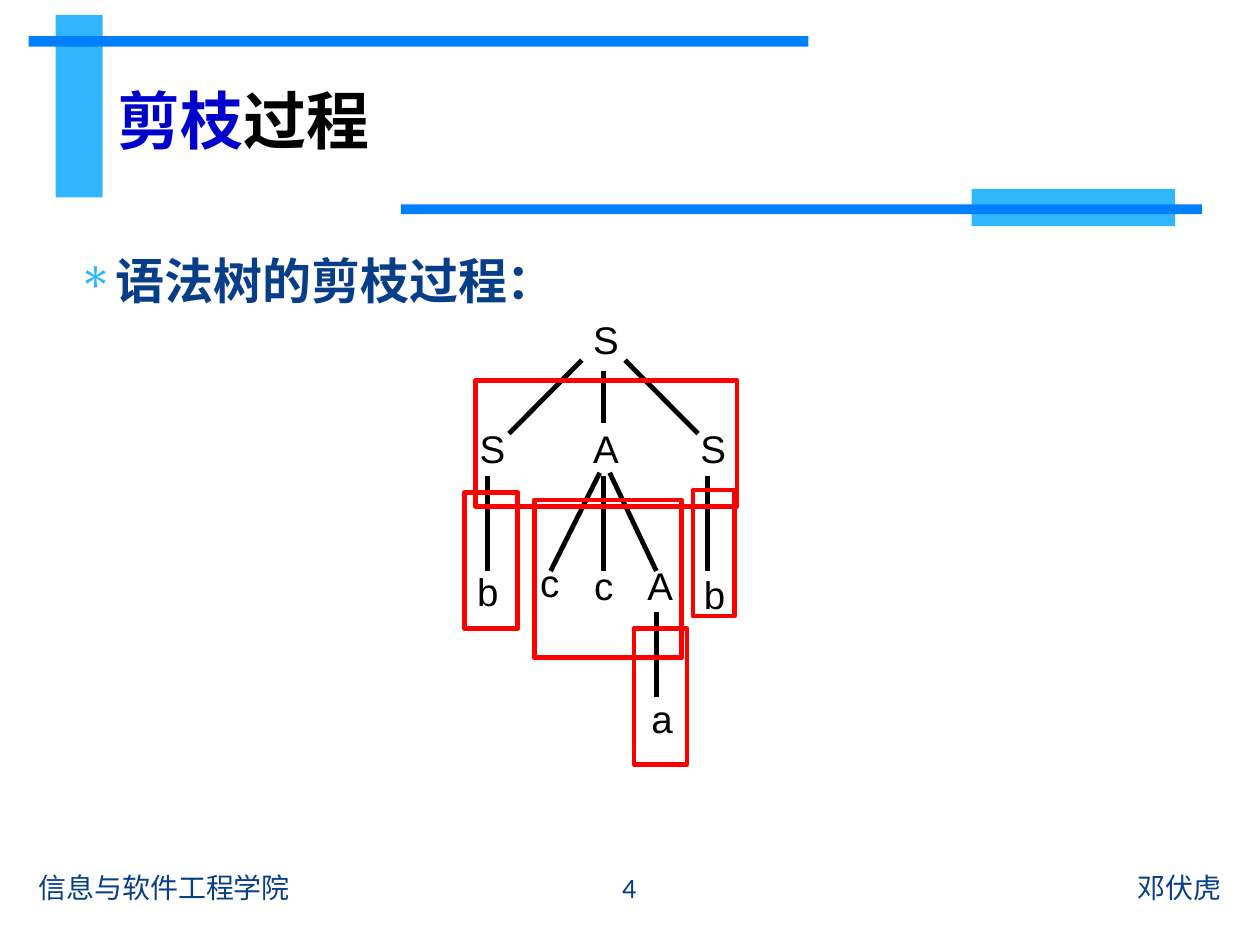
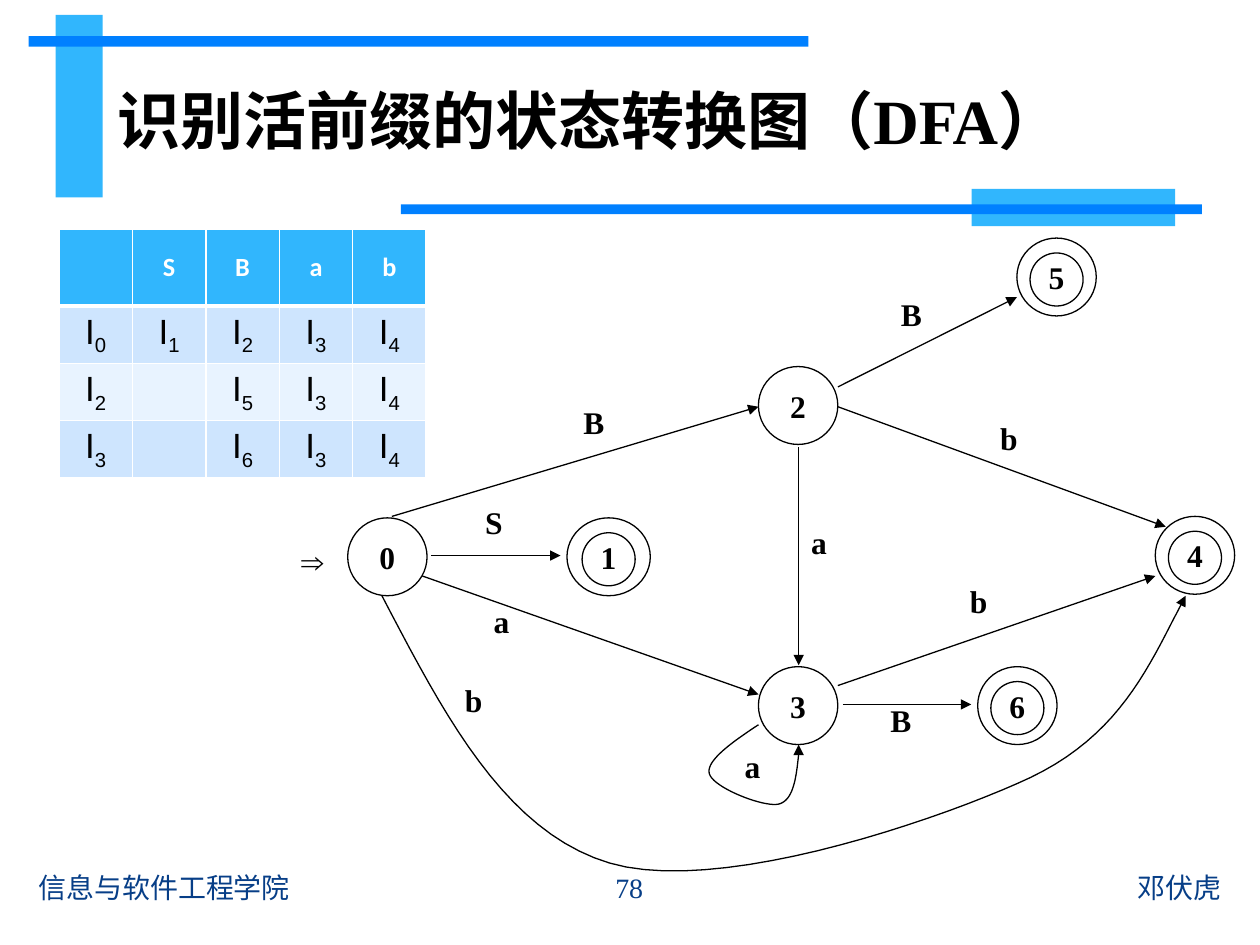
from lxml.etree import SubElement
from pptx import Presentation
from pptx.dml.color import RGBColor
from pptx.enum.shapes import MSO_CONNECTOR, MSO_SHAPE
from pptx.enum.text import MSO_ANCHOR, MSO_AUTO_SIZE, PP_ALIGN
from pptx.oxml.ns import qn
from pptx.util import Cm, Pt

BLACK, WHITE, RED = "000000", "FFFFFF", "FF0000"
SKY, AZURE, NAVY, HIGHLIGHT = "31B6FD", "0080FF", "073E87", "0000CC"
ROW_FILLS = ["CEE5FE", "E8F3FF"]
SANS, BODY, SERIF = "Arial", "Calibri", "Times New Roman"

TITLE_AREA = (2.11, 1.12, 19.61, 2.59)
BANDS = [
    (SKY, (1.12, 0.3, 0.95, 3.68)),
    (AZURE, (0.58, 0.73, 15.72, 0.21)),
    (SKY, (19.59, 3.81, 4.1, 0.75)),
    (AZURE, (8.08, 4.12, 16.15, 0.2)),
]
FOOTER_TOP, FOOTER_HEIGHT = 17.37, 1.02

LETTER = {"size": Pt(22), "name": SANS}
STATE = {"size": Pt(18), "name": SERIF, "bold": True}
TABLE_HEAD = {"size": Pt(15), "name": BODY, "bold": True}
TABLE_BODY = {"size": Pt(20), "name": SANS, "bold": False}

LETTER_WIDTHS = {"S": 1.04, "A": 1.04, "a": 0.94, "b": 0.94, "c": 0.91}
TREE_LETTERS = [
    ("S", 11.71, 6.32), ("S", 9.42, 8.53), ("A", 11.71, 8.53), ("S", 13.87, 8.53),
    ("b", 9.37, 11.4), ("c", 10.64, 11.23), ("c", 11.73, 11.28),
    ("A", 12.8, 11.28), ("b", 13.94, 11.46), ("a", 12.88, 13.97),
]
BRANCHES = [
    (11.73, 7.26, 10.26, 8.74), (12.17, 7.47, 12.17, 8.53), (12.6, 7.26, 14.07, 8.74),
    (9.83, 9.6, 9.83, 11.51), (14.27, 9.6, 14.27, 11.51), (12.09, 9.53, 11.1, 11.51),
    (12.17, 9.6, 12.17, 11.51), (12.29, 9.53, 13.23, 11.51), (13.23, 12.34, 13.23, 14.05),
]
PRUNED_FRAMES = [
    (9.37, 9.93, 1.07, 2.74), (12.78, 12.67, 1.07, 2.74), (10.77, 10.08, 2.97, 3.18),
    (13.97, 9.88, 0.84, 2.54), (9.58, 7.67, 5.28, 2.54),
]

STATE_WIDTH, STATE_HEIGHT, RING = 1.6, 1.57, 1.07
STATES = [
    ("0", 7.01, 10.44, STATE_WIDTH, False), ("1", 11.43, 10.44, 1.68, True),
    ("2", 15.29, 7.39, STATE_WIDTH, False), ("3", 15.29, 13.44, STATE_WIDTH, False),
    ("4", 23.29, 10.41, STATE_WIDTH, True), ("5", 20.5, 4.8, STATE_WIDTH, True),
    ("6", 19.71, 13.44, STATE_WIDTH, True),
]
LABEL_WIDTHS = {"S": 0.86, "B": 0.94, "a": 0.84, "b": 0.86}
TRANSITIONS = [
    ("S", (9.53, 10.01), (8.69, 11.2, 11.3, 11.2)),
    ("B", (11.51, 8), (7.9, 10.41, 15.29, 8.2)),
    ("a", (9.7, 12.01), (8.51, 11.61, 15.29, 14)),
    ("b", (9.12, 13.61), (23.7, 12.4, 23.9, 12.01)),
    ("B", (17.91, 5.82), (16.89, 7.8, 20.5, 5.99)),
    ("b", (19.91, 8.33), (16.89, 8.2, 23.5, 10.62)),
    ("a", (16.1, 10.41), (16.1, 9.02, 16.1, 13.41)),
    ("b", (19.3, 11.61), (16.89, 13.82, 23.29, 11.61)),
    ("B", (17.7, 14), (16.99, 14.2, 19.58, 14.2)),
    ("a", (14.76, 14.94), (16.1, 15.21, 16.1, 15.01)),
]
CURVES = [
    [(7.7, 12.01), (8.94, 14.38), (10.16, 16.76), (12.29, 17.4), (14.43, 18.03),
     (18.59, 16.64), (20.5, 15.8), (22.4, 14.99), (23.04, 13.69), (23.7, 12.4)],
    [(15.29, 14.61), (14.76, 14.96), (14.22, 15.34), (14.3, 15.6), (14.38, 15.88),
     (15.39, 16.28), (15.7, 16.21), (16, 16.13), (16.05, 15.67), (16.1, 15.21)],
]
CURVE_STEPS = 20

TABLE_HEADER = ["", "S", "B", "a", "b"]
TABLE_ROWS = ["01234", "2 534", "3 634"]


def rgb(colour):
    return RGBColor.from_string(colour)


def lengths(values):
    return [Cm(value) for value in values]


def apply_format(target, values):
    for name, value in values.items():
        setattr(target, name, value)


def add_span(para, text, style, colour):
    span = para.add_run()
    span.text = text
    apply_format(span.font, style)
    span.font.color.rgb = rgb(colour)
    return span


def add_text(page, text, area, style, colour=BLACK, frame=None, para_format=None):
    box = page.shapes.add_textbox(*lengths(area))
    apply_format(box.text_frame, {"word_wrap": True, **(frame or {})})
    para = box.text_frame.paragraphs[0]
    apply_format(para, para_format or {})
    add_span(para, text, style, colour)
    return box


def add_fitted_text(page, text, area, style, para_format=None):
    frame = {"word_wrap": False, "auto_size": MSO_AUTO_SIZE.SHAPE_TO_FIT_TEXT}
    return add_text(page, text, area, style, BLACK, frame, para_format)


def outline(shape, colour, width):
    shape.shadow.inherit = False
    shape.fill.background()
    shape.line.color.rgb = rgb(colour)
    shape.line.width = Pt(width)


def add_outlined(page, kind, area, colour, width):
    shape = page.shapes.add_shape(kind, *lengths(area))
    outline(shape, colour, width)
    return shape


def add_line(page, ends, width, arrow=False):
    line = page.shapes.add_connector(MSO_CONNECTOR.STRAIGHT, *lengths(ends))
    line.line.color.rgb = rgb(BLACK)
    line.line.width = Pt(width)
    properties = line.element.spPr
    if arrow:
        SubElement(properties.find(qn("a:ln")), qn("a:tailEnd"), type="triangle")
    SubElement(properties, qn("a:effectLst"))


def curve_points(controls):
    for start in range(0, len(controls) - 1, 3):
        corners = controls[start:start + 4]
        for step in range(1, CURVE_STEPS + 1):
            t = step / CURVE_STEPS
            weights = ((1 - t) ** 3, 3 * t * (1 - t) ** 2, 3 * t * t * (1 - t), t ** 3)
            yield tuple(
                Cm(sum(weight * corner[axis] for weight, corner in zip(weights, corners)))
                for axis in (0, 1)
            )


def add_curve(page, controls):
    builder = page.shapes.build_freeform(*lengths(controls[0]))
    builder.add_line_segments(list(curve_points(controls)), close=False)
    outline(builder.convert_to_shape(), BLACK, 0.75)


def add_state(page, label, left, top, width, accepting):
    circle = add_outlined(
        page, MSO_SHAPE.OVAL, (left, top, width, STATE_HEIGHT), BLACK, 0.75)
    apply_format(circle.text_frame, {
        "word_wrap": False, "vertical_anchor": MSO_ANCHOR.MIDDLE,
        "margin_left": Cm(0.23), "margin_right": Cm(0.23),
    })
    para = circle.text_frame.paragraphs[0]
    para.alignment = PP_ALIGN.CENTER
    add_span(para, label, STATE, BLACK)
    if accepting:
        ring = (left + (width - RING) / 2, top + 0.3, RING, RING)
        add_outlined(page, MSO_SHAPE.OVAL, ring, BLACK, 0.75)


def add_bullet(para, mark, colour, indent):
    properties = para._p.get_or_add_pPr()
    properties.set("marL", str(Cm(indent)))
    properties.set("indent", str(-Cm(indent)))
    SubElement(SubElement(properties, qn("a:buClr")), qn("a:srgbClr"), val=colour)
    SubElement(properties, qn("a:buChar"), char=mark)


def add_borders(cell, is_header):
    properties = cell._tc.get_or_add_tcPr()
    widths = {"L": 1, "R": 1, "T": 3 if not is_header else 1, "B": 3 if is_header else 1}
    if not is_header:
        widths["T"] = 1
    for side, width in widths.items():
        border = SubElement(properties, qn(f"a:ln{side}"), w=str(Pt(width)))
        fill = SubElement(border, qn("a:solidFill"))
        SubElement(fill, qn("a:srgbClr"), val=WHITE)


def format_cell(cell, fill, is_header=False):
    add_borders(cell, is_header)
    cell.fill.solid()
    cell.fill.fore_color.rgb = rgb(fill)
    cell.vertical_anchor = MSO_ANCHOR.MIDDLE
    para = cell.text_frame.paragraphs[0]
    para.alignment = PP_ALIGN.CENTER
    return para


def add_goto_table(page):
    row_count, column_count = len(TABLE_ROWS) + 1, len(TABLE_HEADER)
    area = lengths((1.19, 4.62, 7.42, 4.82))
    table = page.shapes.add_table(row_count, column_count, *area).table
    for column in table.columns:
        column.width = Cm(1.48)
    for index, row in enumerate(table.rows):
        row.height = Cm(1.09 if index else 1.55)
    for column, text in enumerate(TABLE_HEADER):
        para = format_cell(table.cell(0, column), SKY, True)
        if text:
            add_span(para, text, TABLE_HEAD, WHITE)
    for row, indices in enumerate(TABLE_ROWS, 1):
        for column, index in enumerate(indices):
            para = format_cell(table.cell(row, column), ROW_FILLS[(row - 1) % 2])
            if index.strip():
                add_span(para, "I", TABLE_BODY, BLACK)
                subscript = add_span(para, index, TABLE_BODY, BLACK)
                subscript._r.get_or_add_rPr().set("baseline", "-25000")


def add_bands(page, layout):
    for colour, area in BANDS:
        band = page.shapes.add_shape(MSO_SHAPE.RECTANGLE, *lengths(area))
        band.shadow.inherit = False
        band.fill.solid()
        band.fill.fore_color.rgb = rgb(colour)
        band.line.fill.background()
        layout.shapes.element.append(band.element)


def set_title(page, spans, font_name):
    title = page.shapes.title
    names = ("left", "top", "width", "height")
    apply_format(title, dict(zip(names, lengths(TITLE_AREA))))
    apply_format(title.text_frame, {
        "word_wrap": True, "auto_size": MSO_AUTO_SIZE.NONE,
        "vertical_anchor": MSO_ANCHOR.MIDDLE,
    })
    para = title.text_frame.paragraphs[0]
    para.alignment = PP_ALIGN.LEFT
    for text, colour in spans:
        add_span(para, text, {"size": Pt(36), "name": font_name, "bold": True}, colour)


def add_footer(page, number, font_name):
    parts = [
        ("信息与软件工程学院", 0.53, 10.52, PP_ALIGN.LEFT),
        (number, 11.07, 3.23, PP_ALIGN.CENTER),
        ("邓伏虎", 14.35, 10.52, PP_ALIGN.RIGHT),
    ]
    for text, left, width, alignment in parts:
        add_text(page, text, (left, FOOTER_TOP, width, FOOTER_HEIGHT),
                 {"size": Pt(16), "name": font_name}, NAVY,
                 {"vertical_anchor": MSO_ANCHOR.MIDDLE}, {"alignment": alignment})


def build_pruning(page):
    set_title(page, [("剪枝", HIGHLIGHT), ("过程", BLACK)], SANS)
    body = add_text(page, "语法树的剪枝过程：", (1.32, 4.93, 22.5, 12.09),
                    {"size": Pt(28), "name": BODY, "bold": True}, NAVY)
    add_bullet(body.text_frame.paragraphs[0], "∗", SKY, 0.76)
    for letter, left, top in TREE_LETTERS:
        add_fitted_text(page, letter, (left, top, LETTER_WIDTHS[letter], 1.14),
                        LETTER, {"line_spacing": 0.93})
    for branch in BRANCHES:
        add_line(page, branch, 2.75)
    for frame in PRUNED_FRAMES:
        add_outlined(page, MSO_SHAPE.RECTANGLE, frame, RED, 2.75)
    add_footer(page, "4", BODY)


def build_automaton(page):
    set_title(page, [("识别活前缀的状态转换图（DFA）", BLACK)], SERIF)
    add_goto_table(page)
    for state in STATES:
        add_state(page, *state)
    add_fitted_text(page, "⇒", (5.82, 10.8, 1.09, 0.99), STATE)
    for curve in CURVES:
        add_curve(page, curve)
    for label, position, ends in TRANSITIONS:
        add_line(page, ends, 0.75, arrow=True)
        add_fitted_text(page, label, (*position, LABEL_WIDTHS[label], 1.02), STATE)
    add_footer(page, "78", SERIF)


def main():
    deck = Presentation()
    deck.slide_width, deck.slide_height = Cm(25.4), Cm(19.05)
    layout = deck.slide_layouts.get_by_name("Title Only")
    pages = [deck.slides.add_slide(layout) for _ in range(2)]
    add_bands(pages[0], layout)
    build_pruning(pages[0])
    build_automaton(pages[1])
    deck.save("out.pptx")


if __name__ == "__main__":
    main()
